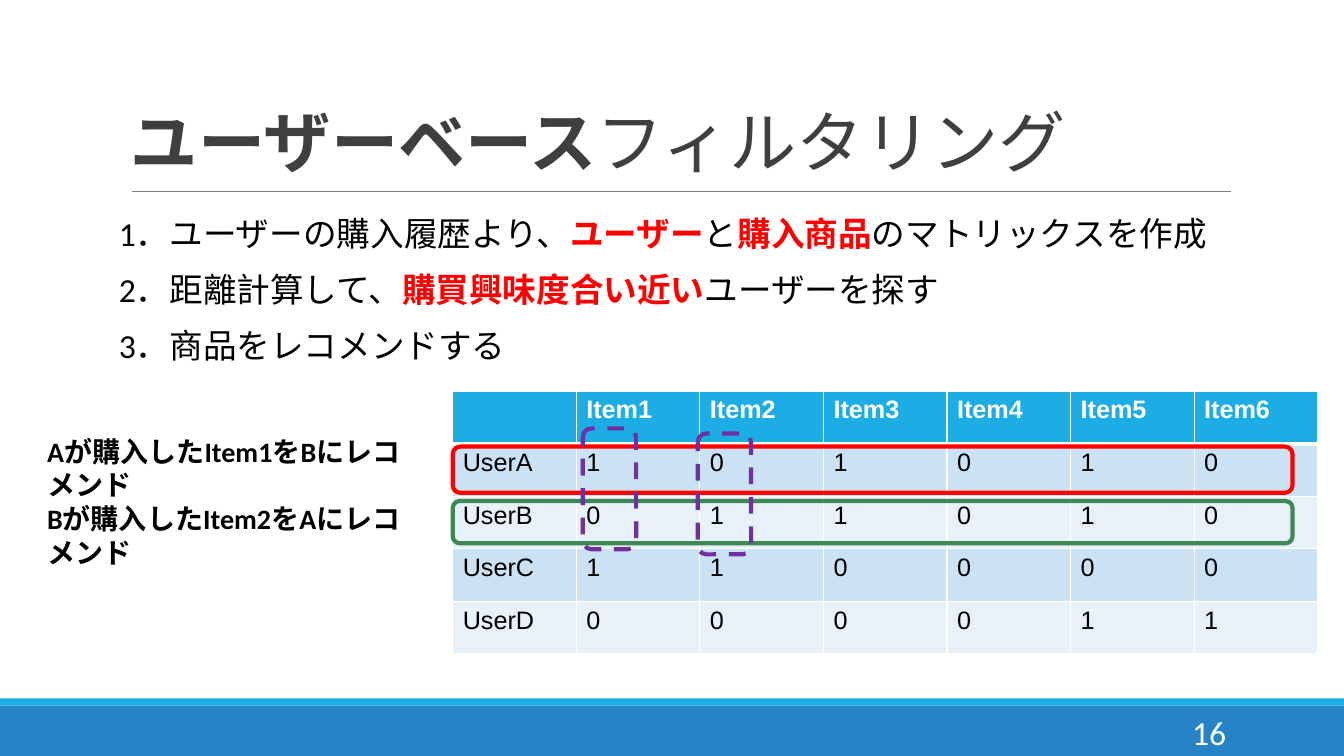
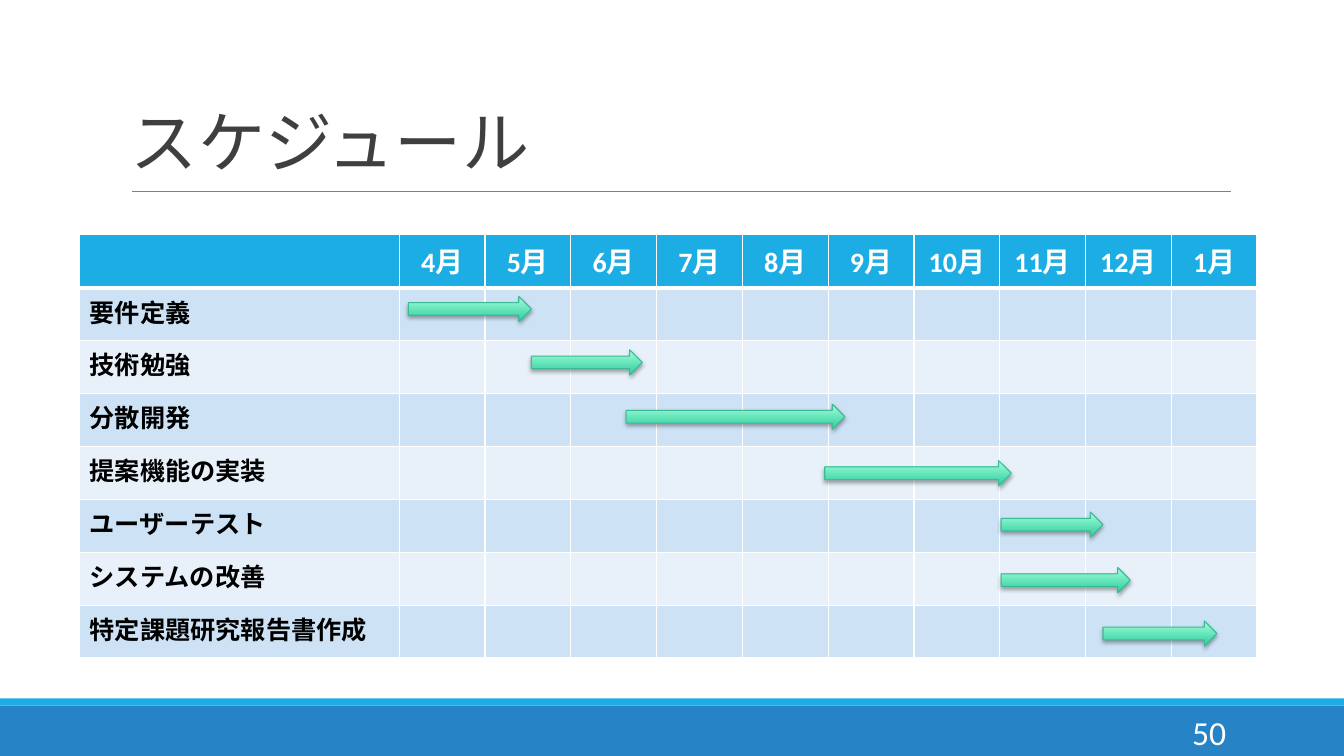
import pptx
import pptx.dml.color
import pptx.enum.dml
import pptx.enum.shapes
import pptx.enum.text
import pptx.oxml
import pptx.oxml.ns
import pptx.util
from lxml import etree

Inches = pptx.util.Inches
Pt = pptx.util.Pt
RGBColor = pptx.dml.color.RGBColor
SHAPE = pptx.enum.shapes.MSO_SHAPE
ALIGN = pptx.enum.text.PP_ALIGN
ANCHOR = pptx.enum.text.MSO_ANCHOR
DASH = pptx.enum.dml.MSO_LINE.DASH
qn = pptx.oxml.ns.qn

WHITE = RGBColor(0xFF, 0xFF, 0xFF)
BLACK = RGBColor(0, 0, 0)
TITLE_GREY = RGBColor(0x3F, 0x3F, 0x3F)
RULE_GREY = RGBColor(0x7F, 0x7F, 0x7F)
FOOTER_BLUE = RGBColor(0x26, 0x83, 0xC6)
ACCENT_BLUE = RGBColor(0x1C, 0xAD, 0xE4)
MATRIX_BANDS = (RGBColor(0xCB, 0xE2, 0xF5), RGBColor(0xE7, 0xF1, 0xFA))
SCHEDULE_BANDS = (RGBColor(0xCD, 0xE3, 0xF5), RGBColor(0xE8, 0xF1, 0xFA))
RED = RGBColor(0xFF, 0, 0)
GREEN = RGBColor(0x3E, 0x88, 0x53)
PURPLE = RGBColor(0x70, 0x30, 0xA0)
ARROW_DARK = RGBColor(0x30, 0xCC, 0x9E)
ARROW_LIGHT = RGBColor(0xA1, 0xFF, 0xDA)
ARROW_EDGE = RGBColor(0x3E, 0xB9, 0x95)

PLAIN, BOLD = {}, {"bold": True}
STRESS = {"bold": True, "color": RED}


def write_text(frame, paragraphs, size=18, color=BLACK, bold=False, font="Calibri",
               align=None, spacing=None):
    """Fill a text frame with paragraphs, each a string or a list of (text, format) runs."""
    for index, runs in enumerate(paragraphs):
        paragraph = frame.paragraphs[0] if index == 0 else frame.add_paragraph()
        paragraph.alignment = align
        paragraph.line_spacing = spacing
        for words, changes in [(runs, PLAIN)] if isinstance(runs, str) else runs:
            run = paragraph.add_run()
            run.text = words
            run.font.name = font
            run.font.size = Pt(size)
            run.font.bold = changes.get("bold", bold)
            run.font.color.rgb = changes.get("color", color)


def add_text(slide, box, paragraphs, anchor=ANCHOR.TOP, inset=0.05, **style):
    """Add a wrapping text box with the given vertical inset."""
    frame = slide.shapes.add_textbox(*map(Inches, box)).text_frame
    frame.word_wrap = True
    frame.vertical_anchor = anchor
    frame.margin_top = frame.margin_bottom = Inches(inset)
    write_text(frame, paragraphs, **style)


def add_band(slide, box, color):
    """Add a plain filled rectangle."""
    band = slide.shapes.add_shape(SHAPE.RECTANGLE, *map(Inches, box))
    band.shadow.inherit = False
    band.fill.solid()
    band.fill.fore_color.rgb = color
    band.line.fill.background()


def add_frame(slide, title, number):
    """Add the bands, rule, title and page number that every slide has."""
    add_band(slide, (0, 7, 13.33, 0.5), FOOTER_BLUE)
    add_band(slide, (0, 6.93, 13.33, 0.07), ACCENT_BLUE)
    rule = slide.shapes.add_connector(pptx.enum.shapes.MSO_CONNECTOR.STRAIGHT,
                                      *map(Inches, (1.31, 1.9, 12.21, 1.9)))
    rule.line.color.rgb = RULE_GREY
    rule.line.width = Pt(0.75)
    etree.SubElement(rule._element.spPr, qn("a:effectLst"))
    add_text(slide, (1.2, 0.31, 11, 1.59), [title], ANCHOR.BOTTOM, 0.1,
             size=48, color=TITLE_GREY, spacing=0.85)
    add_text(slide, (10.83, 7.06, 1.43, 0.4), [number], ANCHOR.MIDDLE,
             size=24, color=WHITE, align=ALIGN.RIGHT)


def style_cell(cell, fill, top, bottom):
    """Fill a cell and draw white borders with the given top and bottom widths."""
    cell.fill.solid()
    cell.fill.fore_color.rgb = fill
    properties = cell._tc.get_or_add_tcPr()
    for index, (side, width) in enumerate((("L", 1), ("R", 1), ("T", top), ("B", bottom))):
        properties.insert(index, pptx.oxml.parse_xml(
            f'<a:ln{side} xmlns:a="{pptx.oxml.ns.nsdecls("a").split(chr(34))[1]}" '
            f'w="{Pt(width)}"><a:solidFill><a:srgbClr val="{WHITE}"/></a:solidFill></a:ln{side}>'))


def add_grid(slide, box, rows, widths, bands, header, body):
    """Add a banded table with a header row and a thicker line under it."""
    left, top, width, height = box
    table = slide.shapes.add_table(len(rows), len(widths), *map(Inches, box)).table
    table.horz_banding = False
    for column, column_width in zip(table.columns, widths):
        column.width = Inches(column_width)
    for r, values in enumerate(rows):
        table.rows[r].height = Inches(height / len(rows))
        for c, value in enumerate(values):
            cell = table.cell(r, c)
            style_cell(cell, bands[(r - 1) % 2] if r else ACCENT_BLUE,
                       3 if r == 1 else 1, 1 if r else 3)
            if value:
                write_text(cell.text_frame, [value], **(body if r else header))


def add_outline(slide, box, color, dash=None):
    """Add an unfilled rounded outline."""
    outline = slide.shapes.add_shape(SHAPE.ROUNDED_RECTANGLE, *map(Inches, box))
    outline.shadow.inherit = False
    outline.fill.background()
    outline.line.color.rgb = color
    outline.line.width = Pt(3)
    if dash:
        outline.line.dash_style = dash


def add_matrix(slide, box):
    """Add the purchase matrix and mark the users and items compared."""
    purchases = {"UserA": "101010", "UserB": "011010", "UserC": "110000", "UserD": "000011"}
    rows = [["", *(f"Item{n}" for n in range(1, 7))]]
    rows += [[user, *flags] for user, flags in purchases.items()]
    left, top, width, height = box
    add_grid(slide, box, rows, [width / 7] * 7, MATRIX_BANDS,
             {"font": "Arial", "color": WHITE, "bold": True}, {"font": "Arial"})
    add_outline(slide, (left, top + 0.55, 8.33, 0.46), RED)
    add_outline(slide, (left, top + 1.09, 8.33, 0.42), GREEN)
    for x, y in ((2.43, 0.42), (1.29, 0.37)):
        add_outline(slide, (left + x, top + y, 0.53, 1.2), PURPLE, DASH)


def add_task_arrow(slide, box):
    """Add a green gradient arrow with a soft shadow."""
    arrow = slide.shapes.add_shape(SHAPE.RIGHT_ARROW, *map(Inches, box))
    arrow.fill.gradient()
    arrow.fill.gradient_angle = 90
    for stop, color in zip(arrow.fill.gradient_stops, (ARROW_DARK, ARROW_LIGHT)):
        stop.color.rgb = color
    arrow.line.color.rgb = ARROW_EDGE
    arrow.line.width = Pt(0.75)
    arrow.shadow.inherit = False
    effects = arrow._element.spPr.find(qn("a:effectLst"))
    shadow = etree.SubElement(effects, qn("a:outerShdw"), blurRad=str(Pt(3.1)),
                              dist=str(Pt(1.8)), dir="5400000", rotWithShape="0")
    shade = etree.SubElement(shadow, qn("a:srgbClr"), val=str(BLACK))
    etree.SubElement(shade, qn("a:alpha"), val="35000")


def add_schedule(slide, box):
    """Add the month grid and one arrow for each task."""
    tasks = (("要件定義", 3.26, 0.61, 1.22), ("技術勉強", 4.48, 1.14, 1.1),
             ("分散開発", 5.42, 1.68, 2.17), ("提案機能の実装", 7.39, 2.24, 1.85),
             ("ユーザーテスト", 9.14, 2.75, 1.01), ("システムの改善", 9.14, 3.3, 1.28),
             ("特定課題研究報告書作成", 10.15, 3.83, 1.13))
    months = [f"{month}月" for month in (*range(4, 13), 1)]
    rows = [["", *months]] + [[task[0]] + [""] * len(months) for task in tasks]
    left, top, width, height = box
    label_width = 3.17
    month_width = (width - label_width) / len(months)
    add_grid(slide, box, rows, [label_width] + [month_width] * len(months), SCHEDULE_BANDS,
             {"size": 20, "color": WHITE, "bold": True, "align": ALIGN.CENTER}, BOLD)
    for _, x, y, length in tasks:
        add_task_arrow(slide, (left + x, top + y, length, 0.25))


def build_filtering(slide):
    """Build the slide on user-based filtering."""
    add_frame(slide, [("ユーザーベース", BOLD), ("フィルタリング", PLAIN)], "16")
    add_matrix(slide, (4.49, 3.88, 8.58, 2.61))
    add_text(slide, (1.08, 1.91, 11.52, 1.78), [
        [("1．ユーザーの購入履歴より、", PLAIN), ("ユーザー", STRESS), ("と", PLAIN),
         ("購入商品", STRESS), ("のマトリックスを作成", PLAIN)],
        [("2．距離計算して、", PLAIN), ("購買興味度合い近い", STRESS), ("ユーザーを探す", PLAIN)],
        "3．商品をレコメンドする"], size=24, spacing=Pt(40))
    add_text(slide, (0.37, 4.26, 3.83, 1.45),
             ["Aが購入したItem1をBにレコメンド", "Bが購入したItem2をAにレコメンド"],
             size=20, bold=True)


def build_schedule(slide):
    """Build the schedule slide."""
    add_frame(slide, "スケジュール", "50")
    add_schedule(slide, (0.79, 2.33, 11.68, 4.2))


def main():
    """Build and save the presentation."""
    deck = pptx.Presentation()
    deck.slide_width, deck.slide_height = Inches(13.33), Inches(7.5)
    for build in (build_filtering, build_schedule):
        build(deck.slides.add_slide(deck.slide_layouts[6]))
    deck.save("out.pptx")


if __name__ == "__main__":
    main()
